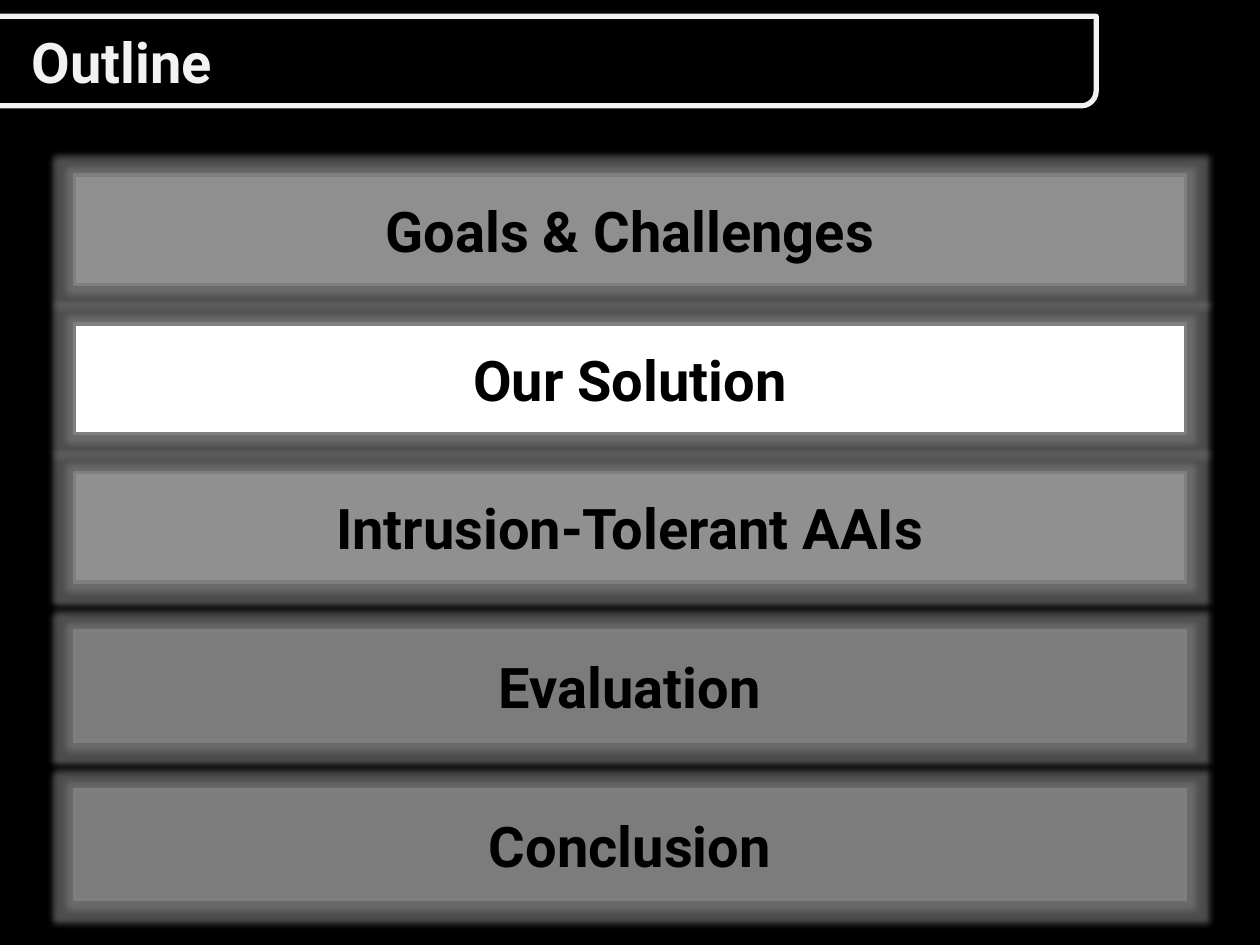
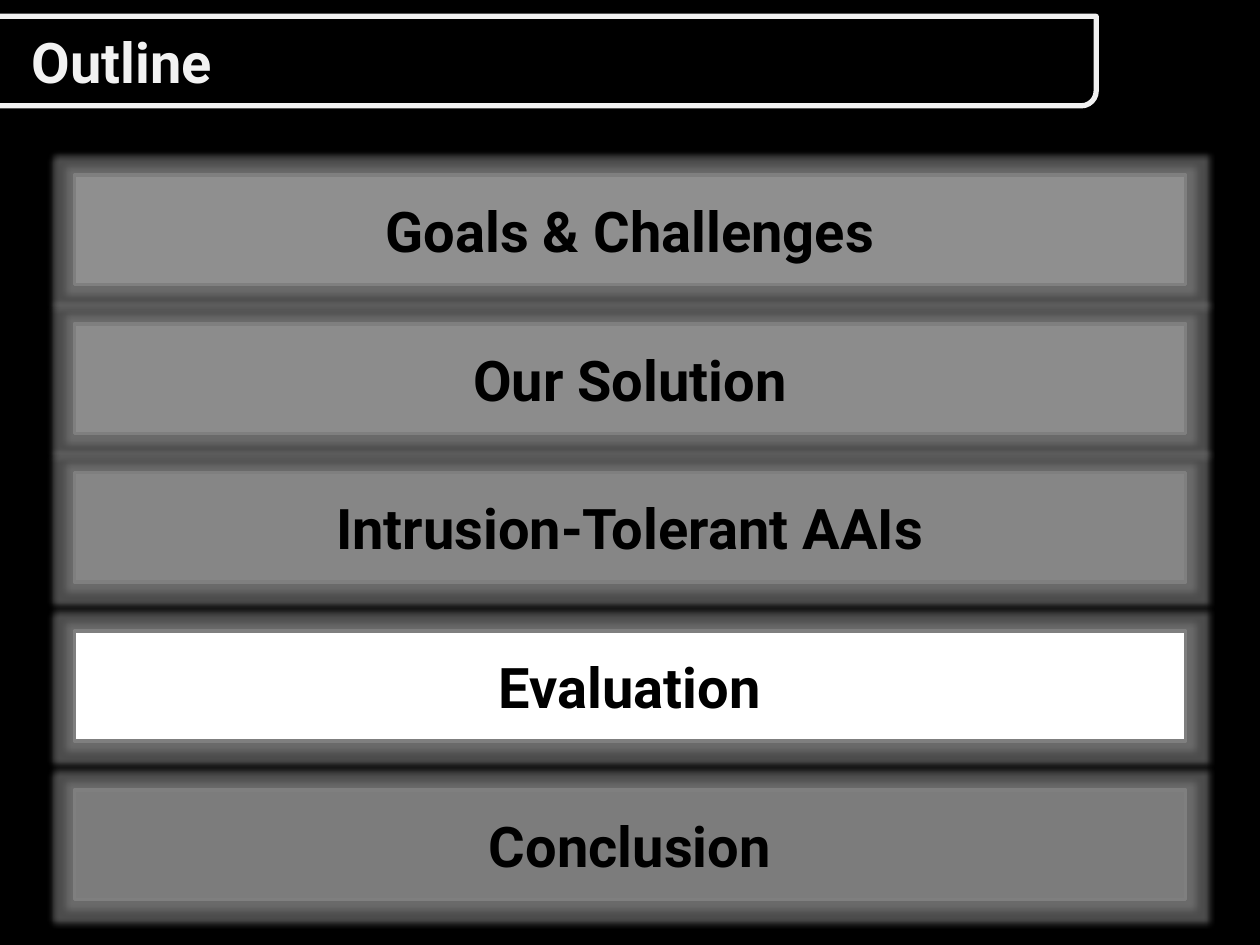
import pptx
import pptx.dml.color
import pptx.enum.shapes
import pptx.enum.text
import pptx.oxml.ns
import pptx.util
from lxml import etree

# Content: sections, and each slide's fill opacity (percent) per section
TITLE = "Outline"
PARTS = ["Goals & Challenges", "Our Solution", "Intrusion-Tolerant AAIs",
         "Evaluation", "Conclusion"]
SLIDES = [(25, 100, 26, 12, 12),
          (25, 23, 19, 100, 12)]

# Shared look
FONT, SIZE = "Roboto", 32
BLACK, WHITE, PALE, GREY = "000000", "FFFFFF", "F2F2F2", "7F7F7F"
GLOW_PT, GLOW_PCT = 8, 60

# Grid, in inches
WIDE, HIGH = 10, 7.5
BAND = (-0.38, 0.13, 9.08, 0.71)
HEAD = (0.25, 0.13, 8.2, 0.71)
SIDE, TOP, TALL = 0.59, 1.39, 0.87
STEP, EXTRA, TIGHT = 1.18, 0.08, 2   # rows after TIGHT sit EXTRA further apart

SHAPE = pptx.enum.shapes.MSO_SHAPE
ALIGN = pptx.enum.text.PP_ALIGN
qn = pptx.oxml.ns.qn


def rgb(code):
    return pptx.dml.color.RGBColor.from_string(code)


def inches(spots):
    return [pptx.util.Inches(x) for x in spots]


def write(shape, text, color=BLACK, align=ALIGN.CENTER, inset=0.1):
    frame = shape.text_frame
    frame.word_wrap = True
    frame.auto_size = pptx.enum.text.MSO_AUTO_SIZE.NONE
    frame.vertical_anchor = pptx.enum.text.MSO_ANCHOR.MIDDLE
    frame.margin_left = frame.margin_right = pptx.util.Inches(inset)
    frame.text = text
    para = frame.paragraphs[0]
    para.alignment = align
    font = para.font
    font.name, font.size, font.bold = FONT, pptx.util.Pt(SIZE), True
    font.color.rgb = rgb(color)


def add_box(slide, kind, spots, fill, line, width):
    box = slide.shapes.add_shape(kind, *inches(spots))
    box.shadow.inherit = False
    box.fill.solid()
    box.fill.fore_color.rgb = rgb(fill)
    box.line.color.rgb = rgb(line)
    box.line.width = pptx.util.Pt(width)
    return box


def set_alpha(color, share):
    etree.SubElement(color, qn("a:alpha"), val=str(share * 1000))


def add_glow(box):
    effects = box._element.spPr.find(qn("a:effectLst"))
    glow = etree.SubElement(effects, qn("a:glow"),
                            rad=str(pptx.util.Pt(GLOW_PT)))
    set_alpha(etree.SubElement(glow, qn("a:srgbClr"), val=GREY), GLOW_PCT)


def add_head(slide):
    # The band goes behind the title placeholder
    band = add_box(slide, SHAPE.ROUND_2_DIAG_RECTANGLE, BAND, BLACK, PALE, 3)
    slide.shapes._spTree.insert(2, band._element)
    title = slide.shapes.title
    title.left, title.top, title.width, title.height = inches(HEAD)
    write(title, TITLE, color=PALE, align=ALIGN.LEFT, inset=0)


def add_part(slide, row, text, share):
    top = TOP + STEP * row + EXTRA * max(0, row - TIGHT)
    spots = (SIDE, top, WIDE - 2 * SIDE, TALL)
    box = add_box(slide, SHAPE.RECTANGLE, spots, WHITE, GREY, 2)
    if share < 100:
        fill = box._element.spPr.find(qn("a:solidFill"))
        set_alpha(fill[0], share)
    add_glow(box)
    write(box, text)


def main():
    deck = pptx.Presentation()
    deck.slide_width, deck.slide_height = inches((WIDE, HIGH))
    back = deck.slide_master.background.fill
    back.solid()
    back.fore_color.rgb = rgb(BLACK)
    for shares in SLIDES:
        slide = deck.slides.add_slide(deck.slide_layouts[5])
        add_head(slide)
        for row, (text, share) in enumerate(zip(PARTS, shares)):
            add_part(slide, row, text, share)
    deck.save("out.pptx")


if __name__ == "__main__":
    main()
